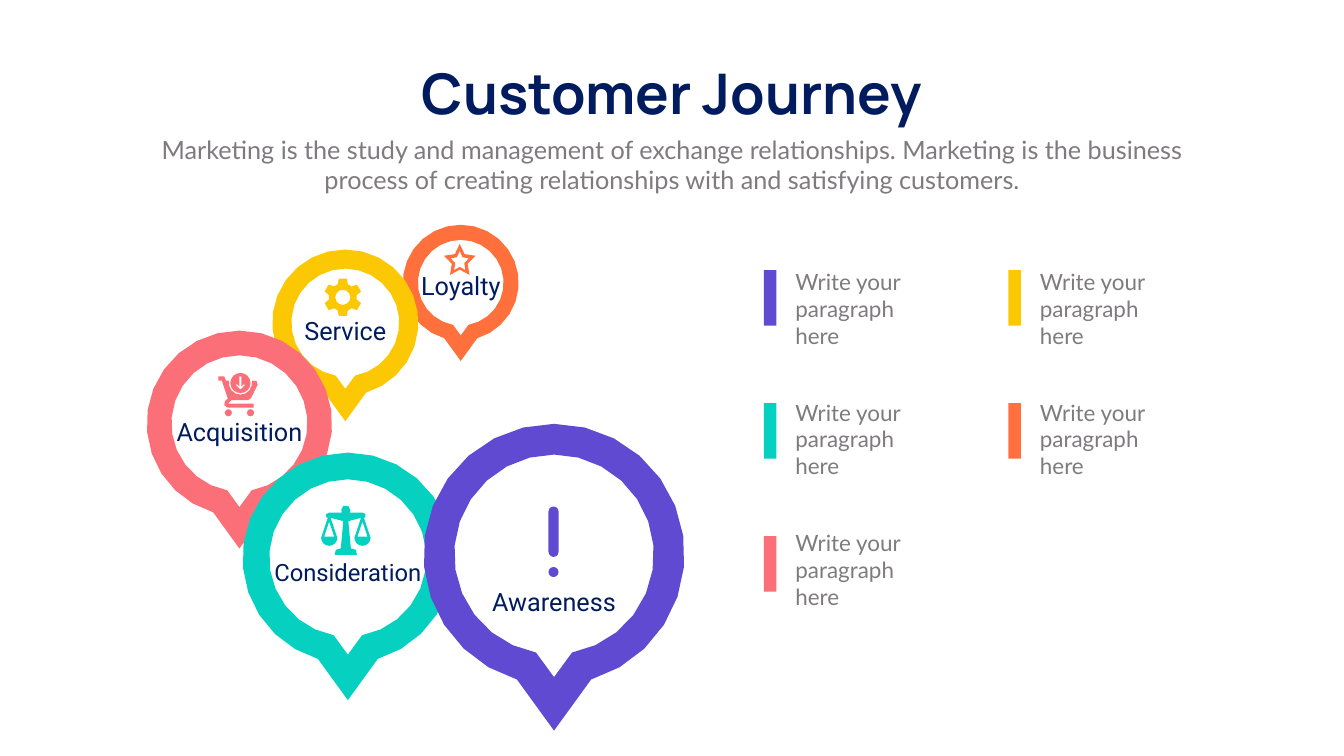
from math import cos, pi, radians, sin

from pptx import Presentation
from pptx import util as u
from pptx.dml.color import RGBColor
from pptx.enum import shapes, text

NAVY = RGBColor(0x00, 0x1C, 0x5E)
GREY = RGBColor(0x7F, 0x7A, 0x7E)
ORANGE = RGBColor(0xFF, 0x70, 0x3C)
YELLOW = RGBColor(0xFC, 0xC7, 0x03)
PINK = RGBColor(0xFB, 0x6F, 0x79)
TEAL = RGBColor(0x06, 0xD1, 0xC0)
PURPLE = RGBColor(0x61, 0x4A, 0xD2)

TITLE = {"name": "Manrope", "size": u.Pt(80), "bold": True}
INTRO = {"name": "Lato", "size": u.Pt(36)}
LEGEND = {"name": "Lato", "size": u.Pt(32)}

PINS = [
    ("Loyalty", ORANGE, 9.14, 5.61, 1.15, 0.85, 5.31, 2.77, 36),
    ("Service", YELLOW, 6.85, 6.4, 1.45, 1.07, 6.21, 2.77, 36),
    ("Acquisition", PINK, 4.75, 8.4, 1.84, 1.35, 8.22, 2.77, 36),
    ("Consideration", TEAL, 6.9, 11.07, 2.09, 1.56, 11.02, 3.46, 34),
    ("Awareness", PURPLE, 10.99, 11, 2.59, 1.98, 11.59, 2.77, 36),
]
LEGEND_CELLS = [
    (PURPLE, 0, 0), (TEAL, 0, 1), (PINK, 0, 2), (YELLOW, 1, 0), (ORANGE, 1, 1),
]
CART_BASKET = [
    (4.48, 7.55), (4.45, 7.47), (4.33, 7.47), (4.33, 7.55), (4.4, 7.55),
    (4.52, 7.91), (4.46, 7.96), (4.45, 8.04), (4.52, 8.09), (5.03, 8.09),
    (5.03, 8.01), (4.52, 8.01), (4.59, 7.94), (4.92, 7.94), (4.98, 7.9),
    (5.11, 7.63), (5.09, 7.56),
]
DOWN_ARROW = [
    (4.75, 7.47), (4.79, 7.47), (4.79, 7.67), (4.84, 7.62), (4.86, 7.64),
    (4.77, 7.73), (4.68, 7.64), (4.7, 7.62), (4.75, 7.67),
]
SCALE_HALF = [
    (0.05, 10.04), (0.09, 10.12), (0.08, 10.17), (0.33, 10.17), (0.39, 10.2),
    (0.39, 10.26), (0.33, 10.29), (0.28, 10.28), (0.05, 10.34), (0.1, 10.88),
    (0.2, 10.91), (0.22, 11.01),
]


def arc(x, y, radius, start, end, steps):
    angles = [radians(start + (end - start) * i / steps) for i in range(steps + 1)]
    return [(x + radius * cos(a), y + radius * sin(a)) for a in angles]


def pin_outline(x, y, radius, half_angle, tip):
    return arc(x, y, radius, 90 + half_angle, 450 - half_angle, 24) + [(x, y + tip * radius)]


def star_outline(x, y, width, height):
    points = []
    for i in range(10):
        reach = 0.5 if i % 2 else 1
        angle = i * pi / 5
        points.append((x + width * reach * sin(angle), y - height * reach * cos(angle)))
    return points


def gear_outline(x, y):
    tooth = [(-0.1, -0.26), (-0.08, -0.37), (0.08, -0.37), (0.1, -0.26)]
    turns = [i * pi / 3 for i in range(6)]
    return [(x + dx * cos(a) - dy * sin(a), y + dx * sin(a) + dy * cos(a))
            for a in turns for dx, dy in tooth]


def paint(shape, color):
    shape.shadow.inherit = False
    shape.fill.solid()
    shape.fill.fore_color.rgb = color
    shape.line.fill.background()


def add_outline(page, color, *contours):
    contours = [[(u.Inches(x), u.Inches(y)) for x, y in c] for c in contours]
    builder = page.shapes.build_freeform(*contours[0][0])
    for i, points in enumerate(contours):
        if i:
            builder.move_to(*points[0])
        builder.add_line_segments(points[1:], close=True)
    paint(builder.convert_to_shape(), color)


def add_preset(page, kind, color, *place):
    shape = page.shapes.add_shape(kind, *map(u.Inches, place))
    paint(shape, color)
    return shape


def add_text(page, words, place, style, color, align=text.PP_ALIGN.CENTER, wrap=True):
    box = page.shapes.add_textbox(*map(u.Inches, place))
    frame = box.text_frame
    frame.word_wrap = wrap
    frame.auto_size = text.MSO_AUTO_SIZE.SHAPE_TO_FIT_TEXT
    para = frame.paragraphs[0]
    para.alignment = align
    span = para.add_run()
    span.text = words
    for name, value in style.items():
        setattr(span.font, name, value)
    span.font.color.rgb = color


def add_pins(page):
    for _, color, x, y, outer, inner, *_ in PINS:
        add_outline(page, color, pin_outline(x, y, outer, 16.5, 1.35),
                    pin_outline(x, y, inner, 10.4, 1.23))
    for name, _, x, _, _, _, top, width, size in PINS:
        style = {"name": "Roboto", "size": u.Pt(size)}
        add_text(page, name, (x - width / 2, top, width, 0.71), style, NAVY)


def add_cart(page):
    add_outline(page, PINK, CART_BASKET + arc(4.77, 7.6, 0.23, -12, 192, 8))
    for left in (4.46, 4.9):
        add_preset(page, shapes.MSO_SHAPE.OVAL, PINK, left, 8.12, 0.14, 0.14)
    add_outline(page, PINK, arc(4.77, 7.6, 0.2, 0, 360, 16), DOWN_ARROW)


def add_scales(page):
    middle = 6.86
    right = [(middle + dx, y) for dx, y in SCALE_HALF]
    left = [(middle - dx, y) for dx, y in reversed(SCALE_HALF)]
    add_outline(page, TEAL, right + left)
    for x in (middle - 0.33, middle + 0.33):
        pan = [(x - 0.03, 10.28), (x + 0.03, 10.28)] + arc(x, 10.67, 0.16, 0, 180, 8)
        add_outline(page, TEAL, pan, [(x - 0.1, 10.65), (x, 10.35), (x + 0.1, 10.65)])


def add_exclamation(page):
    bar = add_preset(page, shapes.MSO_SHAPE.ROUNDED_RECTANGLE, PURPLE, 10.88, 10.05, 0.2, 1)
    bar.adjustments[0] = 0.5
    add_preset(page, shapes.MSO_SHAPE.OVAL, PURPLE, 10.88, 11.25, 0.2, 0.2)


def add_icons(page):
    add_outline(page, ORANGE, star_outline(9.12, 5.18, 0.33, 0.34),
                star_outline(9.12, 5.19, 0.19, 0.21))
    add_outline(page, YELLOW, gear_outline(6.8, 5.9), arc(6.8, 5.9, 0.15, 0, 360, 12))
    add_cart(page)
    add_scales(page)
    add_exclamation(page)


def add_legend(page):
    for color, column, row in LEGEND_CELLS:
        left = 15.15 + 4.85 * column
        add_preset(page, shapes.MSO_SHAPE.RECTANGLE, color, left, 5.36 + 2.64 * row, 0.25, 1.1)
        add_text(page, "Write your paragraph here", (left + 0.53, 5.27 + 2.59 * row, 3.14, 1.18),
                 LEGEND, GREY, text.PP_ALIGN.LEFT)


def main():
    deck = Presentation()
    deck.slide_width, deck.slide_height = u.Inches(26.66), u.Inches(15)
    page = deck.slides.add_slide(deck.slide_layouts[6])
    add_text(page, "Customer Journey", (7.85, 1.12, 10.96, 1.45), TITLE, NAVY, wrap=False)
    add_text(page, "Marketing is the study and management of exchange relationships. "
             "Marketing is the business process of creating relationships with and "
             "satisfying customers.", (2.92, 2.61, 20.82, 1.31), INTRO, GREY)
    add_pins(page)
    add_icons(page)
    add_legend(page)
    deck.save("out.pptx")


if __name__ == "__main__":
    main()
